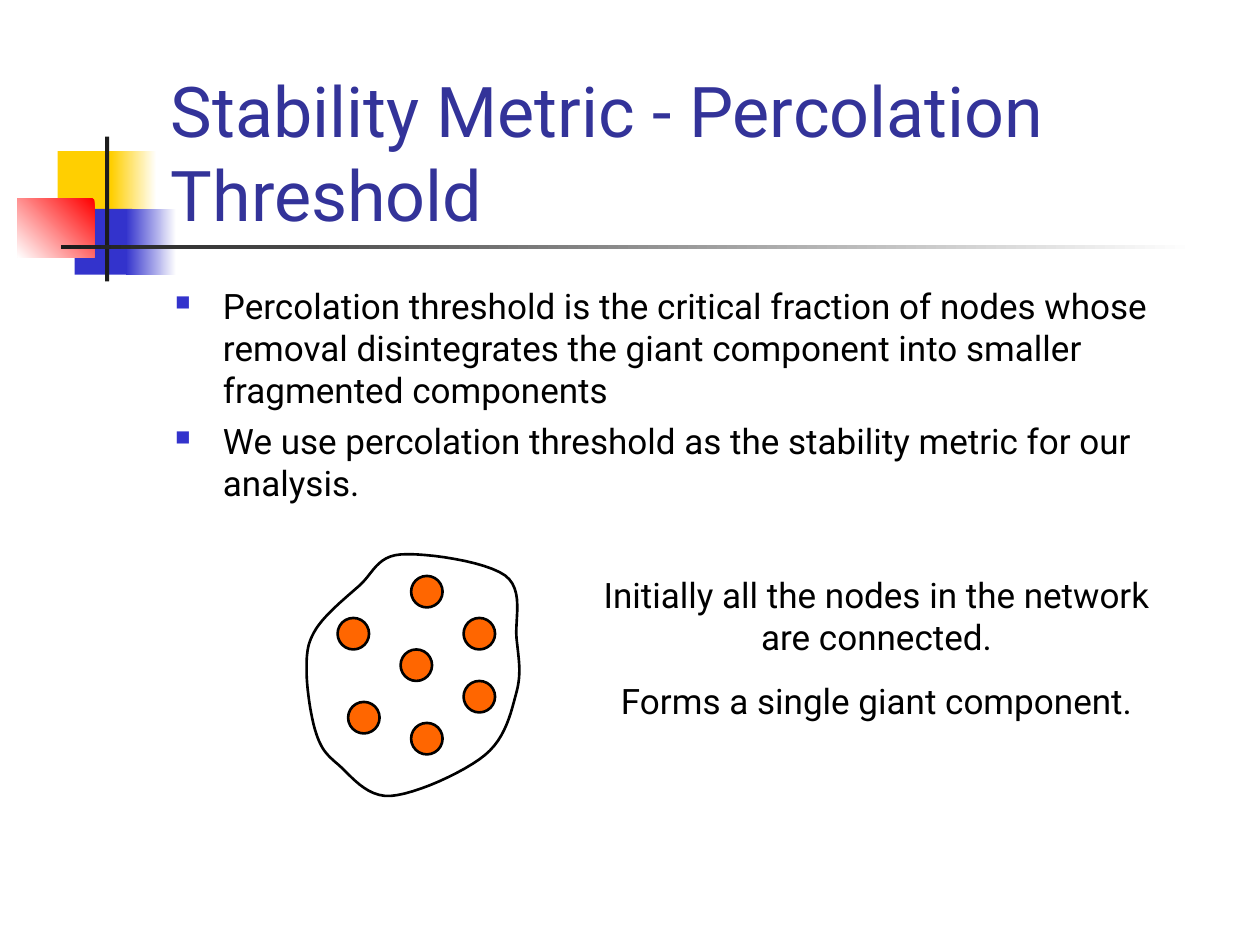
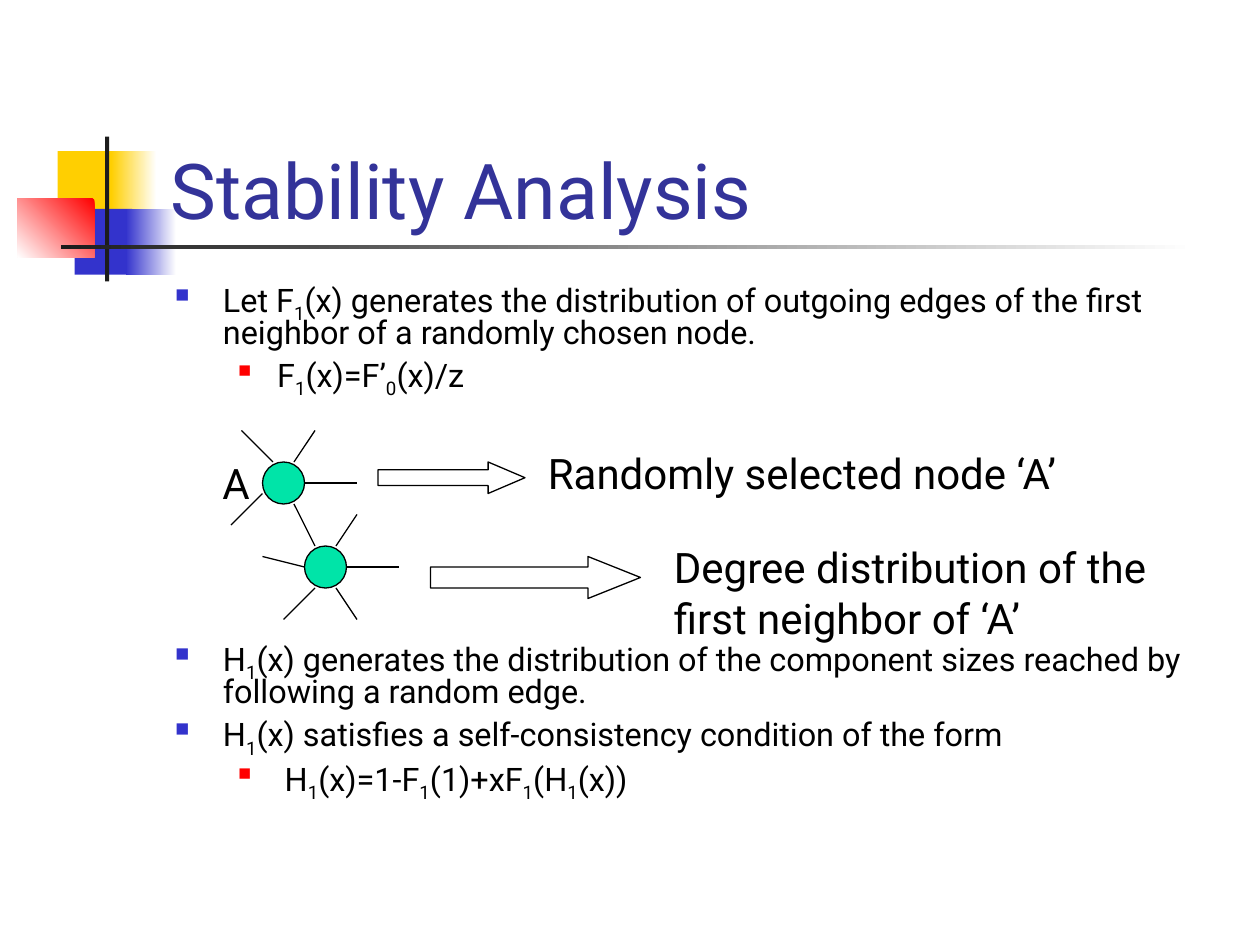
from lxml.etree import SubElement
from pptx import Presentation
from pptx.dml.color import RGBColor
from pptx.enum.shapes import MSO_CONNECTOR, MSO_SHAPE
from pptx.enum.text import MSO_ANCHOR, PP_ALIGN
from pptx.oxml.ns import qn
from pptx.util import Inches, Pt

# The slide is a grid of 120 columns by 90 rows, 12 cells to the inch.
COLUMNS, ROWS, CELLS_PER_INCH = 120, 90, 12
FONT = "Roboto"
COLOURS = {
    "title": "333399", "text": "000000", "paper": "FFFFFF", "rule": "1C1C1C",
    "yellow": "FFCF01", "blue": "3333CC", "red": "FF0000",
    "member": "FF6600", "vertex": "00E4A8",
}
# Bullet per level: colour, size in percent, text indent and hanging in inches
BULLETS = [("blue", 60, 0.38, 0.38), ("red", 55, 0.81, 0.31)]


def cells(count):
    return Inches(count / CELLS_PER_INCH)


def colour(name):
    return RGBColor.from_string(COLOURS[name])


def add_block(slide, box, fill, kind=MSO_SHAPE.RECTANGLE, outline=None):
    block = slide.shapes.add_shape(kind, *map(cells, box))
    paint(block, fill, outline)
    return block


def paint(shape, fill, outline=None):
    """Fill is a colour name, or (start, end, angle) for a gradient."""
    shape.shadow.inherit = False
    if isinstance(fill, tuple):
        start, end, angle = fill
        shape.fill.gradient()
        shape.fill.gradient_angle = angle
        for stop, name in zip(shape.fill.gradient_stops, (start, end)):
            stop.color.rgb = colour(name)
    else:
        shape.fill.solid()
        shape.fill.fore_color.rgb = colour(fill)
    if outline:
        shape.line.color.rgb = colour("text")
        shape.line.width = Pt(outline)
    else:
        shape.line.fill.background()


def add_frame(slide, box, anchor=MSO_ANCHOR.TOP):
    frame = slide.shapes.add_textbox(*map(cells, box)).text_frame
    frame.word_wrap = True
    frame.vertical_anchor = anchor
    return frame


def next_paragraph(frame, space_before):
    """Return the unused first paragraph, or a new one set off by a space."""
    first = frame.paragraphs[0]
    if not first.runs:
        return first
    paragraph = frame.add_paragraph()
    paragraph.space_before = Pt(space_before)
    return paragraph


def add_runs(paragraph, text, size, name="text"):
    """Write text in which the character after each underscore is a subscript."""
    head, *tails = text.split("_")
    pieces = [(head, False)]
    for tail in tails:
        pieces += [(tail[0], True), (tail[1:], False)]
    for piece, lowered in pieces:
        run = paragraph.add_run()
        run.text = piece
        run.font.name = FONT
        run.font.size = Pt(size)
        run.font.color.rgb = colour(name)
        if lowered:
            run.font._element.set("baseline", "-25000")


def add_bullet(paragraph, level, extra_indent=0):
    name, percent, indent, hanging = BULLETS[level]
    properties = paragraph._p.get_or_add_pPr()
    properties.set("marL", str(Inches(indent + extra_indent)))
    properties.set("indent", str(-Inches(hanging + extra_indent)))
    tint = SubElement(properties, qn("a:buClr"))
    SubElement(tint, qn("a:srgbClr")).set("val", COLOURS[name])
    SubElement(properties, qn("a:buSzPct")).set("val", str(percent * 1000))
    SubElement(properties, qn("a:buChar")).set("char", "■")


def add_body(slide, height, size, points, line_spacing=None):
    """Points are (level, text, space before, extra indent)."""
    frame = add_frame(slide, (15.5, 26.5, 102, height))
    for level, text, space_before, extra_indent in points:
        paragraph = next_paragraph(frame, space_before)
        add_bullet(paragraph, level, extra_indent)
        if line_spacing:
            paragraph.line_spacing = line_spacing
        add_runs(paragraph, text, size)


def add_caption(slide, box, lines, size, align=PP_ALIGN.LEFT):
    frame = add_frame(slide, box)
    for line in lines:
        paragraph = next_paragraph(frame, 12.5)
        paragraph.alignment = align
        add_runs(paragraph, line, size)


def add_ornament(slide):
    for left, top, solid, fade, name in [
        (5.5, 14.4, 5.8, (5.1, 4.3), "yellow"),
        (7.1, 19.9, 5.5, (4.9, 4.8), "blue"),
    ]:
        offset, width = fade
        add_block(slide, (left, top, solid, 6.25), name)
        add_block(slide, (left + offset, top, width, 6.25), ("paper", name, 180))
    add_block(slide, (1.65, 18.95, 7.35, 5.55), ("red", "paper", 225))
    add_block(slide, (10, 13, 0.4, 13.8), "rule")
    add_block(slide, (5.8, 23.35, 108, 0.4), ("paper", "rule", 180))


def new_slide(deck, title, title_size):
    slide = deck.slides.add_slide(deck.slide_layouts[6])
    add_ornament(slide)
    frame = add_frame(slide, (15.1, 8, 102.2, 15), MSO_ANCHOR.BOTTOM)
    add_runs(frame.paragraphs[0], title, title_size, "title")
    return slide


def closed_curve(anchors, steps=12):
    """Points of a closed Catmull-Rom curve through the anchors."""
    count = len(anchors)
    points = []
    for i in range(count):
        around = [anchors[(i + k) % count] for k in (-1, 0, 1, 2)]
        for step in range(steps):
            t = step / steps
            points.append(tuple(
                b + t * (c - a) / 2
                + t**2 * (2 * a - 5 * b + 4 * c - d) / 2
                + t**3 * (3 * b - a - 3 * c + d) / 2
                for a, b, c, d in zip(*around)
            ))
    return points


def add_giant_component(slide):
    anchors = [
        (34.2, 55.8), (30.1, 59.9), (29.2, 63.8), (30.1, 69.8), (32.2, 72.8),
        (37.2, 75.8), (46.2, 71.9), (49.2, 65.9), (49.2, 60.8), (48.1, 54.8),
        (38.2, 52.8),
    ]
    start, *rest = [tuple(map(cells, point)) for point in closed_curve(anchors)]
    builder = slide.shapes.build_freeform(*start)
    builder.add_line_segments(rest, close=True)
    paint(builder.convert_to_shape(), "paper", 1.5)
    for column, row in [(12, 4), (12, 10), (7, 0), (0, 4), (7, 14), (1, 12), (6, 7)]:
        member = (32.15 + column, 54.85 + row, 3, 3)
        add_block(slide, member, "member", MSO_SHAPE.OVAL, 1.5)


def add_vertex(slide, left, top, spokes):
    """Draw a graph vertex and its edges, given from its top left corner."""
    add_block(slide, (left, top, 4, 4), "vertex", MSO_SHAPE.OVAL, 0.75)
    for x1, y1, x2, y2 in spokes:
        ends = left + x1, top + y1, left + x2, top + y2
        edge = slide.shapes.add_connector(MSO_CONNECTOR.STRAIGHT, *map(cells, ends))
        edge.line.color.rgb = colour("text")
        edge.line.width = Pt(0.75)
        SubElement(edge._element.spPr, qn("a:effectLst"))


def add_arrow(slide, box, head):
    arrow = add_block(slide, box, "paper", MSO_SHAPE.RIGHT_ARROW, 0.75)
    arrow.adjustments[0] = 0.5
    arrow.adjustments[1] = head


def build_metric_slide(deck):
    slide = new_slide(deck, "Stability Metric - Percolation Threshold", 40)
    add_body(slide, 25.5, 20, [
        (0, "Percolation threshold is the critical fraction of nodes whose removal "
            "disintegrates the giant component into smaller fragmented components", 0, 0),
        (0, "We use percolation threshold as the stability metric for our analysis.", 5, 0),
    ])
    add_giant_component(slide)
    add_caption(slide, (56, 54, 55, 15.4), [
        "Initially all the nodes in the network are connected.",
        "Forms a single giant component.",
    ], 20, PP_ALIGN.CENTER)


def build_analysis_slide(deck):
    slide = new_slide(deck, "Stability Analysis", 44)
    diagram_gap = 142
    add_body(slide, 54, 18.5, [
        (0, "Let F_1(x) generates the distribution of outgoing edges of the first "
            "neighbor of a randomly chosen node.", 0, 0),
        (1, "F_1(x)=F’_0(x)/z", 5, 0),
        (0, "H_1(x) generates the distribution of the component sizes reached by "
            "following a random edge.", diagram_gap, 0),
        (0, "H_1(x) satisfies a self-consistency condition of the form", 5, 0),
        (1, "H_1(x)=1-F_1(1)+xF_1(H_1(x))", 5, 0.06),
    ], 0.8)
    upper_right, right = (3, 0, 5, -3), (4, 2, 9, 2)
    add_vertex(slide, 25, 44, [
        upper_right, (3, 4, 5, 8), right, (1, 0, -2, -3), (0, 3, -3, 6)])
    add_vertex(slide, 29, 52, [
        upper_right, right, (3, 4, 5, 7), (1, 4, -2, 7), (-4, 1, 0, 2)])
    add_arrow(slide, (36, 44, 14, 3), 1.17)
    add_arrow(slide, (41, 53, 20, 4), 1.25)
    add_caption(slide, (51, 42, 53, 10.8), ["Randomly selected node ‘A’"], 24)
    add_caption(slide, (20, 43, 10, 6), ["A"], 24)
    add_caption(slide, (63, 51, 51, 10.8),
                ["Degree distribution of the first neighbor of ‘A’"], 24)


def main():
    deck = Presentation()
    deck.slide_width, deck.slide_height = cells(COLUMNS), cells(ROWS)
    build_metric_slide(deck)
    build_analysis_slide(deck)
    deck.save("out.pptx")


if __name__ == "__main__":
    main()
